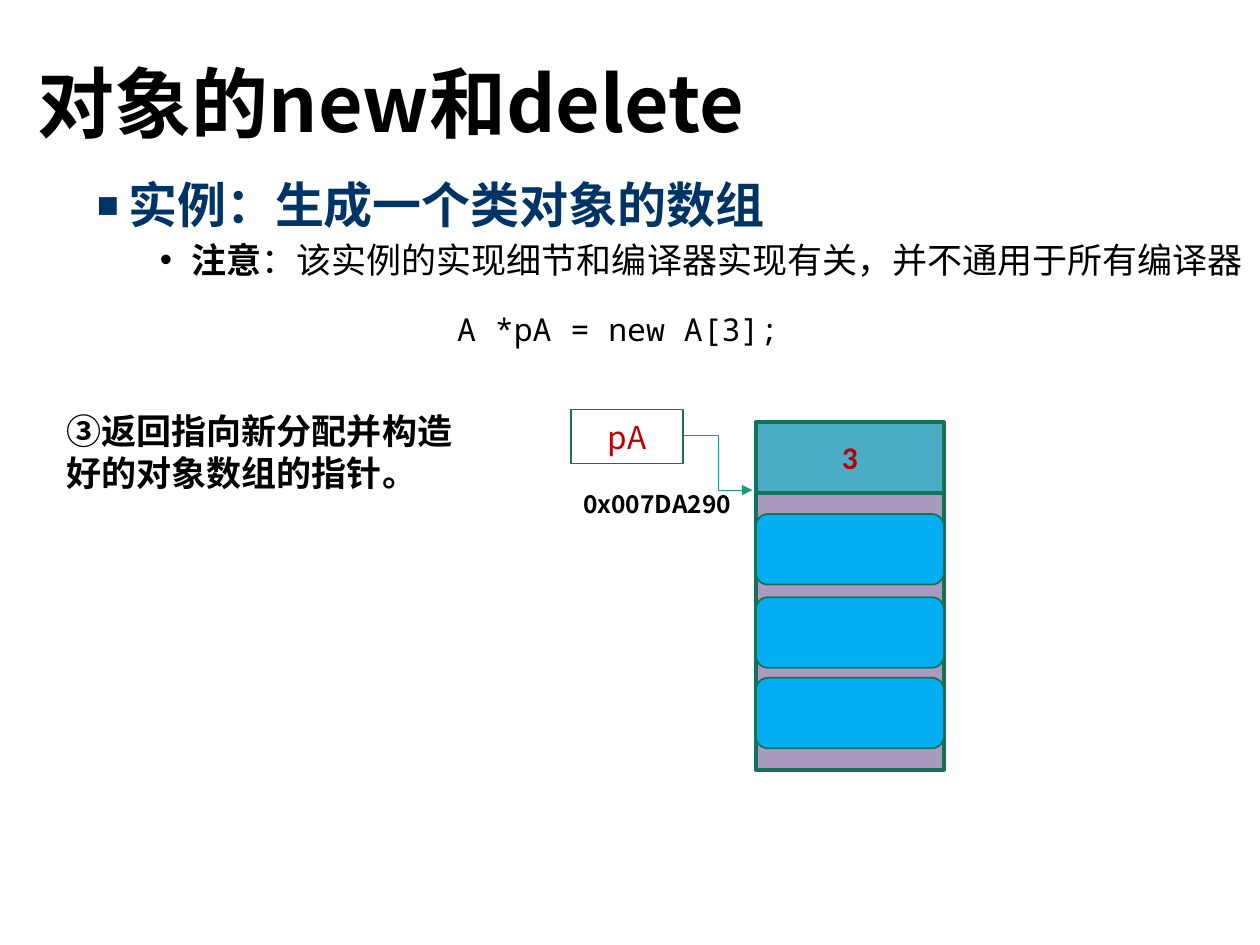
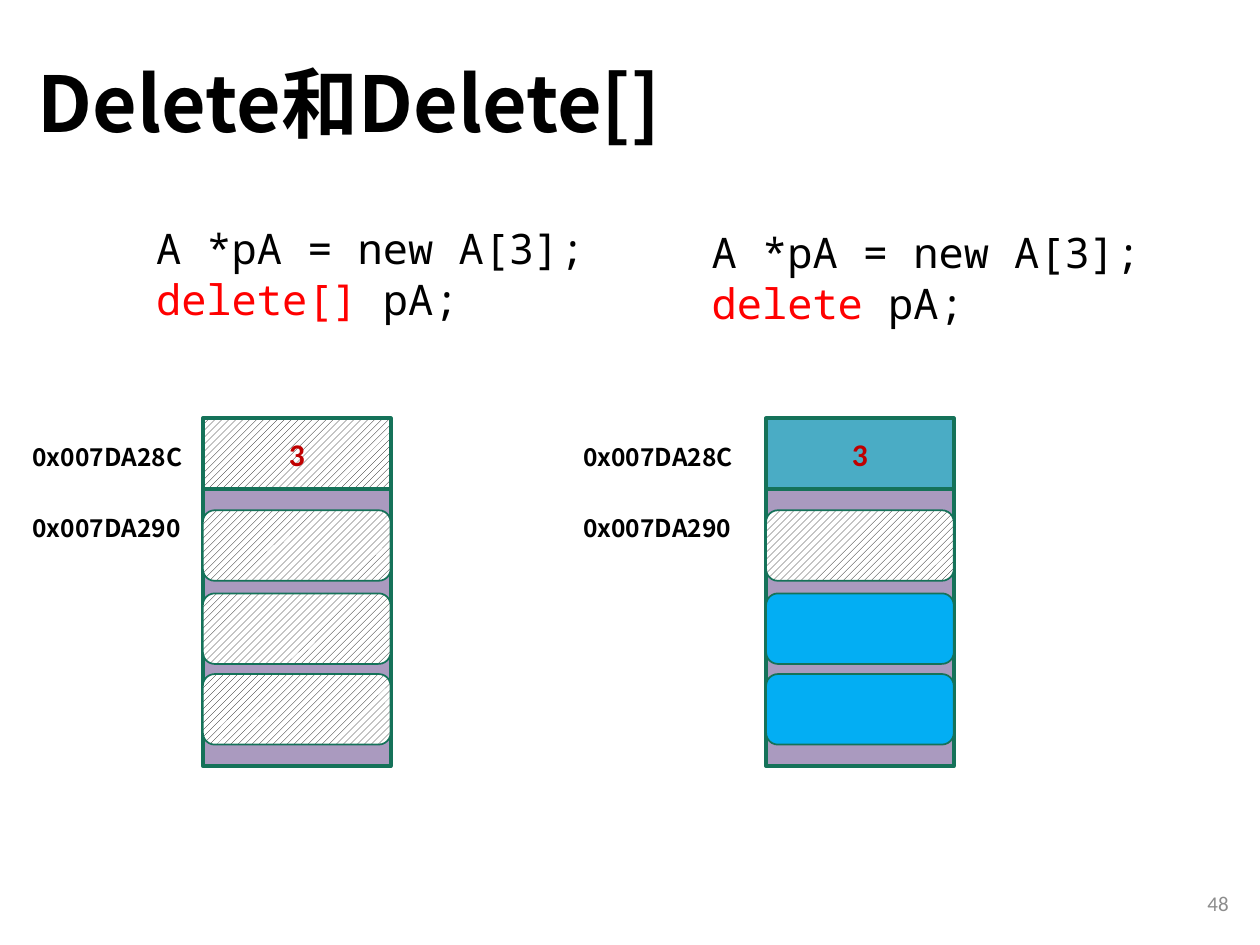
from pptx import Presentation
from pptx.dml.color import RGBColor
from pptx.enum.dml import MSO_PATTERN
from pptx.enum.shapes import MSO_CONNECTOR, MSO_SHAPE
from pptx.enum.text import MSO_ANCHOR, PP_ALIGN
from pptx.oxml.ns import qn
from pptx.util import Inches, Pt
from lxml.etree import SubElement

BLACK = RGBColor(0x00, 0x00, 0x00)
WHITE = RGBColor(0xFF, 0xFF, 0xFF)
NAVY = RGBColor(0x00, 0x33, 0x66)
RED = RGBColor(0xFF, 0x00, 0x00)
DARK_RED = RGBColor(0xC0, 0x00, 0x00)
GRAY = RGBColor(0x8C, 0x8C, 0x8C)
GREEN = RGBColor(0x15, 0x72, 0x59)
ARROW_GREEN = RGBColor(0x1D, 0x9A, 0x78)
PURPLE = RGBColor(0xAA, 0x9A, 0xBF)
TEAL = RGBColor(0x4A, 0xAC, 0xC5)
BLUE = RGBColor(0x03, 0xAE, 0xF3)
FREED = "freed"  # hatched fill of released memory

SANS, MONO, LATIN = "Noto Sans CJK SC", "Noto Sans Mono", "Calibri"

# Memory block geometry, offsets measured from the top of the block
BLOCK_WIDTH, CELL_HEIGHT = 1.49, 0.56
BODY_OFFSET, BODY_HEIGHT = 0.55, 2.21
OBJECT_OFFSETS = (0.73, 1.39, 2.03)

# A run is (text, size, font, colour, bold); a paragraph is a list of runs
HEADING = [("实例：生成一个类对象的数组", 28, MONO, NAVY, True)]
REMARK = [("注意", 20, MONO, BLACK, True),
          ("：该实例的实现细节和编译器实现有关，并不通用于所有编译器", 20, MONO, BLACK, False)]
# paragraph, left indent, space before, bullet, bullet size in percent
OUTLINE = [(HEADING, 0.25, 10, "■", 75), (REMARK, 0.75, 5, "•", 100)]
STEP = "③返回指向新分配并构造好的对象数组的指针。"
NEW_ARRAY = "A *pA = new A[3];"
COUNT_ADDRESS, ARRAY_ADDRESS = "0x007DA28C", "0x007DA290"

# keyword, code left and top, block left, label left, count fill, object fills
COMPARISON = [
    ("delete[] ", 1.14, 1.72, 1.61, 0.16, FREED, (FREED, FREED, FREED)),
    ("delete ", 5.55, 1.75, 6.08, 4.53, TEAL, (FREED, BLUE, BLUE)),
]


def add_run(paragraph, text, size, font, color, bold=False):
    """Append one formatted run, with a font for Chinese characters too."""
    run = paragraph.add_run()
    run.text = text
    run.font.size, run.font.name, run.font.bold = Pt(size), font, bold
    run.font.color.rgb = color
    SubElement(run.font._element, qn("a:ea"), typeface=SANS)


def write(shape, paragraphs, align=PP_ALIGN.LEFT, anchor=MSO_ANCHOR.TOP):
    """Fill a shape's text frame and return its paragraphs."""
    frame = shape.text_frame
    frame.word_wrap, frame.vertical_anchor = True, anchor
    for index, runs in enumerate(paragraphs):
        paragraph = frame.add_paragraph() if index else frame.paragraphs[0]
        paragraph.alignment = align
        for run in runs:
            add_run(paragraph, *run)
    return frame.paragraphs


def add_text(slide, box, paragraphs, **layout):
    """Add a text box at (left, top, width, height) in inches."""
    shape = slide.shapes.add_textbox(*map(Inches, box))
    return write(shape, paragraphs, **layout)


def add_box(shapes, kind, box, fill, line_width):
    """Add a green-edged shape, solid or hatched."""
    shape = shapes.add_shape(kind, *map(Inches, box))
    shape.shadow.inherit = False
    if fill == FREED:
        shape.fill.patterned()
        shape.fill.pattern = MSO_PATTERN.WIDE_UPWARD_DIAGONAL
        shape.fill.fore_color.rgb, shape.fill.back_color.rgb = BLACK, WHITE
    else:
        shape.fill.solid()
        shape.fill.fore_color.rgb = fill
    shape.line.color.rgb, shape.line.width = GREEN, Pt(line_width)
    return shape


def add_memory_block(slide, left, top, count_fill, object_fills):
    """Draw the count cell and the array of objects below it as a group."""
    shapes = slide.shapes.add_group_shape().shapes
    add_box(shapes, MSO_SHAPE.RECTANGLE,
            (left, top + BODY_OFFSET, BLOCK_WIDTH, BODY_HEIGHT), PURPLE, 2.25)
    count = add_box(shapes, MSO_SHAPE.RECTANGLE,
                    (left, top, BLOCK_WIDTH, CELL_HEIGHT), count_fill, 2.25)
    write(count, [[("3", 18, LATIN, DARK_RED, True)]], PP_ALIGN.CENTER, MSO_ANCHOR.MIDDLE)
    for offset, fill in zip(OBJECT_OFFSETS, object_fills):
        add_box(shapes, MSO_SHAPE.ROUNDED_RECTANGLE,
                (left, top + offset, BLOCK_WIDTH, CELL_HEIGHT), fill, 1)


def add_address(slide, left, top, address):
    """Label a memory address."""
    add_text(slide, (left, top, 1.47, 0.34), [[(address, 14, SANS, BLACK, True)]])


def add_arrow(slide, start, end):
    """Draw an elbow connector with an arrowhead at its end."""
    arrow = slide.shapes.add_connector(MSO_CONNECTOR.ELBOW, *map(Inches, start + end))
    arrow.line.color.rgb, arrow.line.width = ARROW_GREEN, Pt(0.5)
    SubElement(arrow.line._get_or_add_ln(), qn("a:tailEnd"), type="triangle")
    SubElement(arrow._element.spPr, qn("a:effectLst"))


def add_outline(slide, box, items):
    """Add the bulleted outline."""
    paragraphs = add_text(slide, box, [item[0] for item in items])
    for paragraph, (_, indent, before, bullet, size) in zip(paragraphs, items):
        paragraph.line_spacing, paragraph.space_before = 0.9, Pt(before)
        properties = paragraph._p.get_or_add_pPr()
        properties.set("marL", str(Inches(indent)))
        properties.set("indent", str(Inches(-0.25)))
        SubElement(properties, qn("a:buSzPct"), val=str(size * 1000))
        SubElement(properties, qn("a:buFont"), typeface="Arial")
        SubElement(properties, qn("a:buChar"), char=bullet)


def add_titled_slide(presentation, title):
    """Add a blank slide with the shared title style."""
    slide = presentation.slides.add_slide(presentation.slide_layouts[6])
    paragraphs = add_text(slide, (0.2, 0.13, 8.62, 1.45),
                          [[(title, 44, SANS, BLACK, True)]], anchor=MSO_ANCHOR.MIDDLE)
    paragraphs[0].line_spacing = 0.9
    return slide


def build_new_slide(presentation):
    """Show the pointer returned by new[]."""
    slide = add_titled_slide(presentation, "对象的new和delete")
    add_text(slide, (0.43, 3.2, 3.42, 0.77), [[(STEP, 20, SANS, BLACK, True)]])
    add_address(slide, 4.53, 3.83, ARRAY_ADDRESS)
    add_memory_block(slide, 6, 3.35, TEAL, (BLUE, BLUE, BLUE))
    pointer = add_box(slide.shapes, MSO_SHAPE.RECTANGLE, (4.53, 3.25, 0.89, 0.43), WHITE, 1)
    write(pointer, [[("pA", 18, SANS, DARK_RED)]], PP_ALIGN.CENTER, MSO_ANCHOR.MIDDLE)
    add_arrow(slide, (5.43, 3.46), (5.97, 3.89))
    add_outline(slide, (0.67, 1.39, 9.33, 5.19), OUTLINE)
    add_text(slide, (3.53, 2.41, 2.8, 0.4), [[(NEW_ARRAY, 18, MONO, BLACK)]])


def build_delete_slide(presentation):
    """Compare what delete[] and delete release."""
    slide = add_titled_slide(presentation, "Delete和Delete[]")
    add_text(slide, (7.6, 6.97, 2.25, 0.4), [[("48", 12, LATIN, GRAY)]],
             align=PP_ALIGN.RIGHT, anchor=MSO_ANCHOR.MIDDLE)
    for keyword, code_left, code_top, left, label_left, count_fill, fills in COMPARISON:
        add_memory_block(slide, left, 3.32, count_fill, fills)
        add_text(slide, (code_left, code_top, 3.62, 0.91),
                 [[(NEW_ARRAY, 24, MONO, BLACK)],
                  [(keyword, 24, MONO, RED), ("pA;", 24, MONO, BLACK)]])
        add_address(slide, label_left, 3.46, COUNT_ADDRESS)
        add_address(slide, label_left, 4.02, ARRAY_ADDRESS)


presentation = Presentation()
presentation.slide_width, presentation.slide_height = Inches(10), Inches(7.5)
build_new_slide(presentation)
build_delete_slide(presentation)
presentation.save("out.pptx")
